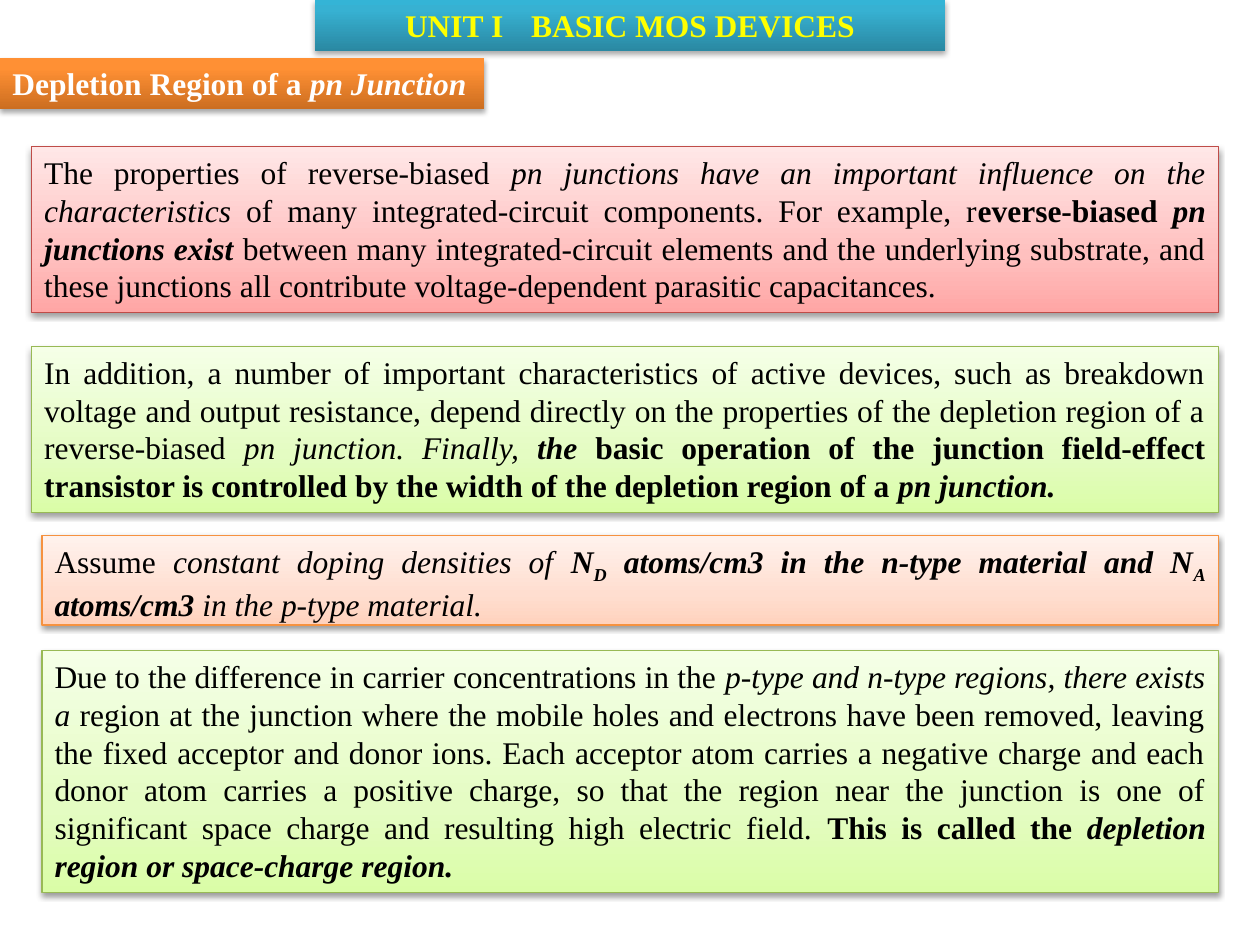
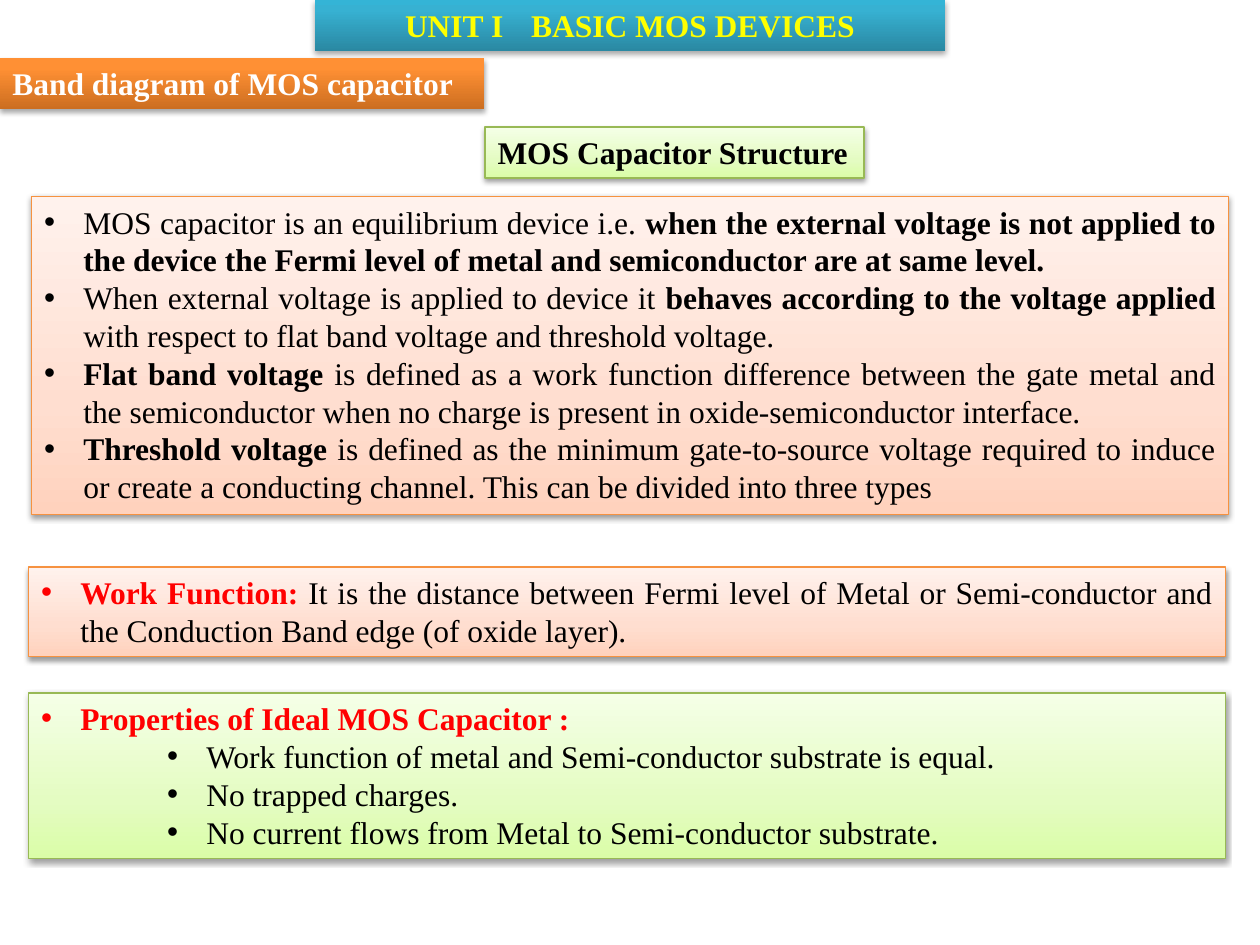
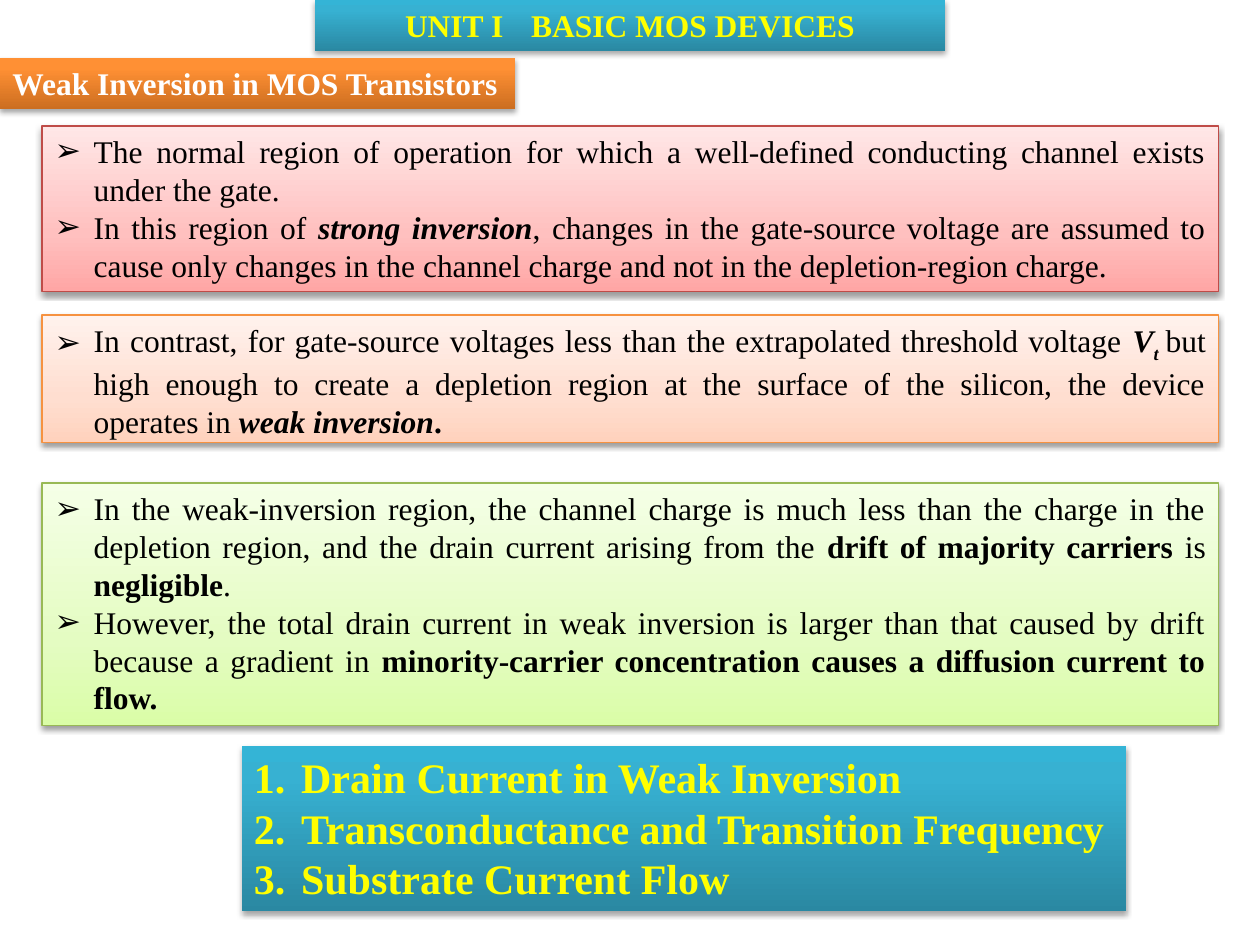
from lxml import etree
from pptx import Presentation
from pptx.dml.color import RGBColor
from pptx.enum import shapes, text
from pptx.oxml import ns
from pptx.util import Cm, Pt

FONT = "Times New Roman"
BLACK = RGBColor(0x00, 0x00, 0x00)
WHITE = RGBColor(0xFF, 0xFF, 0xFF)
RED = RGBColor(0xFF, 0x00, 0x00)
YELLOW = RGBColor(0xFF, 0xFF, 0x00)

# Look: gradient stops from bottom to top, outline, text colour
SOFT, DEEP = (0, 35, 100), (0, 80, 100)
LOOKS = {
    "teal": (DEEP, ("2A88A2", "37B1D2", "34B4D6"), None, YELLOW),
    "amber": (DEEP, ("CC6E20", "FF9034", "FF9136"), None, WHITE),
    "pink": (SOFT, ("FFA6A5", "FFC0BF", "FFE7E7"), RGBColor(0xBF, 0x4C, 0x48), BLACK),
    "green": (SOFT, ("DAFDA7", "E4FCC2", "F5FFE7"), RGBColor(0x98, 0xB9, 0x55), BLACK),
    "peach": (SOFT, ("FFD2BD", "FFDED0", "FFF2ED"), RGBColor(0xF6, 0x92, 0x40), BLACK),
}

UNIT = "UNIT I\tBASIC MOS DEVICES"
DOT, ARROW, NUMBER = "•", "➢", "1."

# Run styles: b bold, i italic, s subscript, r red; > on a first run means level two.
# Box: look, left, top, width (cm), lines, bullet, paragraphs
SLIDES = [
    {
        "head": [("b", "Depletion Region of a "), ("bi", "pn Junction")],
        "wide": 9.76,
        "boxes": [
            ("pink", 0.64, 2.96, 23.92, 4, None, [
                [("", "The properties of reverse-biased "),
                 ("i", "pn junctions have an important influence on the characteristics "),
                 ("", "of many integrated-circuit components. For example, r"),
                 ("b", "everse-biased "),
                 ("bi", "pn junctions exist "),
                 ("", "between many integrated-circuit elements and the underlying "
                      "substrate, and these junctions all contribute "
                      "voltage-dependent parasitic capacitances.")]]),
            ("green", 0.64, 6.99, 23.92, 4, None, [
                [("", "In addition, a number of important characteristics of active "
                      "devices, such as breakdown voltage and output resistance, depend "
                      "directly on the properties of the depletion region of a "
                      "reverse-biased "),
                 ("i", "pn junction. Finally, "),
                 ("bi", "the "),
                 ("b", "basic operation of the junction field-effect transistor is "
                       "controlled by the width of the depletion region of a "),
                 ("bi", "pn junction.")]]),
            ("peach", 0.85, 10.8, 23.71, 2, None, [
                [("", "Assume "),
                 ("i", "constant doping densities of "),
                 ("bi", "N"), ("bis", "D"),
                 ("bi", " atoms/cm3 in the n-type material and N"), ("bis", "A"),
                 ("bi", " atoms/cm3 "),
                 ("i", "in the p-type material.")]]),
            ("green", 0.85, 13.12, 23.71, 6, None, [
                [("", "Due to the difference in carrier concentrations in the "),
                 ("i", "p-type and n-type regions, there exists a "),
                 ("", "region at the junction where the mobile holes and electrons have "
                      "been removed, leaving the fixed acceptor and donor ions. Each "
                      "acceptor atom carries a negative charge and each donor atom "
                      "carries a positive charge, so that the region near the junction "
                      "is one of significant space charge and resulting high electric "
                      "field. "),
                 ("b", "This is called the "),
                 ("bi", "depletion region or space-charge region.")]]),
        ],
    },
    {
        "head": [("b", "Band diagram of MOS capacitor")],
        "wide": 9.76,
        "boxes": [
            ("peach", 0.64, 3.96, 24.13, 8, DOT, [
                [("", "MOS capacitor is an equilibrium device i.e. "),
                 ("b", "when the external voltage is not applied to the device the "
                       "Fermi level of metal and semiconductor are at same level.")],
                [("", "When external voltage is applied to device it "),
                 ("b", "behaves according to the voltage applied"),
                 ("", " with respect to flat band voltage and threshold voltage.")],
                [("b", "Flat band voltage "),
                 ("", "is defined as a work function difference between the gate metal "
                      "and the semiconductor when no charge is present in "
                      "oxide-semiconductor interface.")],
                [("b", "Threshold voltage"),
                 ("", " is defined as the minimum gate-to-source voltage required to "
                      "induce or create a conducting channel. This can be divided into "
                      "three types")]]),
            ("green", 9.78, 2.56, 7.64, 1, None, [[("b", "MOS Capacitor Structure")]]),
            ("peach", 0.58, 11.43, 24.13, 2, DOT, [
                [("br", "Work Function: "),
                 ("", "It is the distance between Fermi level of Metal or "
                      "Semi-conductor and the Conduction Band edge (of oxide layer).")]]),
            ("green", 0.58, 13.97, 24.13, 4, DOT, [
                [("br", "Properties of Ideal MOS Capacitor :")],
                [(">", "Work function of metal and Semi-conductor substrate is equal.")],
                [(">", "No trapped charges.")],
                [(">", "No current flows from Metal to Semi-conductor substrate.")]]),
        ],
    },
    {
        "head": [("b", "Weak Inversion in MOS Transistors")],
        "wide": 10.38,
        "boxes": [
            ("pink", 0.85, 2.54, 23.71, 4, ARROW, [
                [("", "The normal region of operation for which a well-defined "
                      "conducting channel exists under the gate.")],
                [("", "In this region of "),
                 ("bi", "strong inversion"),
                 ("", ", changes in the gate-source voltage are assumed to cause only "
                      "changes in the channel charge and not in the depletion-region "
                      "charge.")]]),
            ("peach", 0.85, 6.35, 23.71, 3, ARROW, [
                [("", "In contrast, for gate-source voltages less than the extrapolated "
                      "threshold voltage "),
                 ("bi", "V"), ("bis", "t "),
                 ("", "but high enough to create a depletion region at the surface of "
                      "the silicon, the device operates in "),
                 ("bi", "weak inversion"), ("b", ".")]]),
            ("green", 0.85, 9.74, 23.71, 6, ARROW, [
                [("", "In the weak-inversion region, the channel charge is much less "
                      "than the charge in the depletion region, and the drain current "
                      "arising from the "),
                 ("b", "drift of majority carriers "), ("", "is "),
                 ("b", "negligible"), ("", ".")],
                [("", "However, the total drain current in weak inversion is larger "
                      "than that caused by drift because a gradient in "),
                 ("b", "minority-carrier concentration causes a diffusion current to "
                       "flow.")]]),
            ("teal", 4.87, 15.03, 17.84, 3, NUMBER, [
                [("b", "Drain Current in Weak Inversion")],
                [("b", "Transconductance and Transition Frequency")],
                [("b", "Substrate Current Flow")]]),
        ],
    },
]


def add(parent, tag, **attrs):
    """Append a DrawingML element and return it."""
    node = etree.SubElement(parent, ns.qn("a:" + tag))
    for key, value in attrs.items():
        node.set(key, str(value))
    return node


def paint(box, look):
    stops, tints, edge, _ = LOOKS[look]
    box.fill.gradient()
    box.fill.gradient_angle = 90
    props = box._element.spPr
    ramp = props.find(".//" + ns.qn("a:gsLst"))
    for old in list(ramp):
        ramp.remove(old)
    for stop, tint in zip(stops, tints):
        add(add(ramp, "gs", pos=stop * 1000), "srgbClr", val=tint)
    if edge is None:
        box.line.fill.background()
    else:
        box.line.color.rgb = edge
        box.line.width = Pt(0.75)
    box.shadow.inherit = False
    cast = add(props.find(ns.qn("a:effectLst")), "outerShdw", blurRad=40000,
               dist=20000 if edge else 23000, dir=5400000, rotWithShape=0)
    add(add(cast, "srgbClr", val="000000"), "alpha", val=38000 if edge else 35000)


def indent(para, mark, deep):
    hang = Cm(0.95 if mark == NUMBER else 0.79)
    props = para._p.get_or_add_pPr()
    props.set("marL", str(hang + (Cm(2.54) if deep else 0)))
    props.set("indent", str(-hang))
    if mark == NUMBER:
        add(props, "buFont", typeface="+mj-lt")
        add(props, "buAutoNum", type="arabicPeriod")
    else:
        add(props, "buFont", typeface="Arial")
        add(props, "buChar", char=mark)


def write(para, runs, size, ink):
    for style, words in runs:
        run = para.add_run()
        run.text = words
        font = run.font
        font.name, font.size = FONT, Pt(size)
        font.bold, font.italic = "b" in style, "i" in style
        font.color.rgb = RED if "r" in style else ink
        if "s" in style:
            run._r.get_or_add_rPr().set("baseline", "-25000")


def panel(slide, look, left, top, width, lines, mark, paras,
          align=text.PP_ALIGN.JUSTIFY, wrap=True):
    size = 24 if mark == NUMBER else 18
    high = 0.26 + 0.77 * lines * size / 18
    box = slide.shapes.add_shape(shapes.MSO_SHAPE.RECTANGLE,
                                 Cm(left), Cm(top), Cm(width), Cm(high))
    paint(box, look)
    frame = box.text_frame
    frame.word_wrap = wrap
    frame.auto_size = text.MSO_AUTO_SIZE.SHAPE_TO_FIT_TEXT
    frame.vertical_anchor = text.MSO_ANCHOR.TOP
    for n, runs in enumerate(paras):
        para = frame.add_paragraph() if n else frame.paragraphs[0]
        para.alignment = align
        if mark:
            deep = ">" in runs[0][0]
            para.level = 2 if deep else 0
            indent(para, mark, deep)
        write(para, runs, size, LOOKS[look][3])


def main():
    deck = Presentation()
    deck.slide_width, deck.slide_height = Cm(25.4), Cm(19.05)
    left = text.PP_ALIGN.LEFT
    for page in SLIDES:
        slide = deck.slides.add_slide(deck.slide_layouts[6])
        panel(slide, "teal", 6.35, 0, 12.7, 1, None, [[("b", UNIT)]],
              text.PP_ALIGN.CENTER)
        panel(slide, "amber", 0, 1.17, page["wide"], 1, None, [page["head"]], left, False)
        for box in page["boxes"]:
            if box[4] == 1 or box[5] == NUMBER:
                panel(slide, *box, left, False)
            else:
                panel(slide, *box)
    deck.save("out.pptx")


if __name__ == "__main__":
    main()
